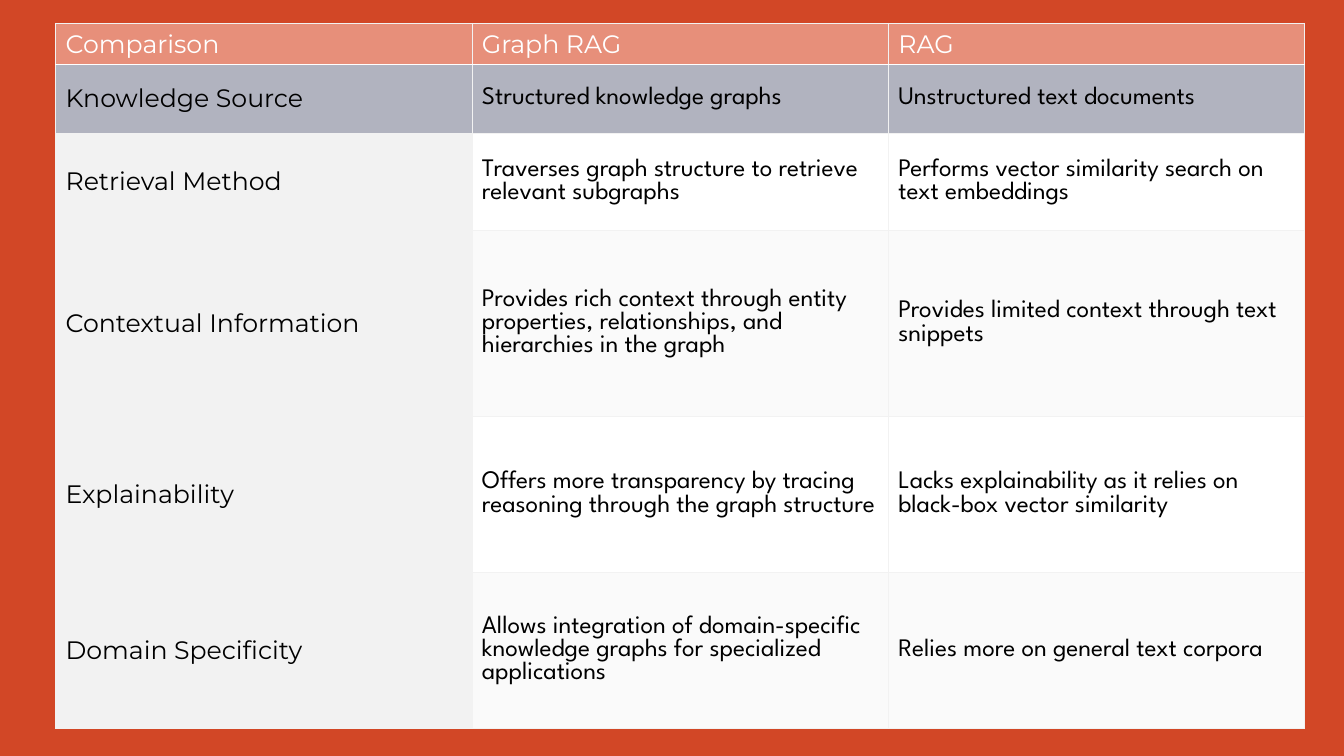
from lxml.etree import SubElement
from pptx import Presentation
from pptx.dml.color import RGBColor
from pptx.enum.text import MSO_ANCHOR
from pptx.oxml.ns import qn
from pptx.util import Inches, Pt

BACKGROUND = RGBColor(0xD2, 0x47, 0x26)
HEADER = RGBColor(0xE7, 0x8F, 0x7A)
HIGHLIGHT = RGBColor(0xB1, 0xB3, 0xBF)
LIGHT = RGBColor(0xF2, 0xF2, 0xF2)
BAND = RGBColor(0xFA, 0xFA, 0xFA)
WHITE = RGBColor(0xFF, 0xFF, 0xFF)
BLACK = RGBColor(0x00, 0x00, 0x00)

LABEL_FONT, BODY_FONT = "Montserrat", "League Spartan"
SLIDE_W, SLIDE_H = 13.33, 7.5
LEFT, TOP, COLUMN_W = 0.55, 0.23, 4.13
ROW_HEIGHTS = [0.41, 0.68, 0.97, 1.84, 1.55, 1.55]

COMPARISON = [
    ("Comparison", "Graph RAG", "RAG"),
    ("Knowledge Source", "Structured knowledge graphs",
     "Unstructured text documents"),
    ("Retrieval Method",
     "Traverses graph structure to retrieve relevant subgraphs",
     "Performs vector similarity search on text embeddings"),
    ("Contextual Information",
     "Provides rich context through entity properties, relationships, "
     "and hierarchies in the graph",
     "Provides limited context through text snippets"),
    ("Explainability",
     "Offers more transparency by tracing reasoning through the graph structure",
     "Lacks explainability as it relies on black-box vector similarity"),
    ("Domain Specificity",
     "Allows integration of domain-specific knowledge graphs for "
     "specialized applications",
     "Relies more on general text corpora"),
]


def cell_fill(row, col):
    if row == 0:
        return HEADER
    if row == 1:
        return HIGHLIGHT
    if col == 0:
        return LIGHT
    return BAND if row % 2 else WHITE


def add_border(cell, side, color, width):
    ln = SubElement(cell._tc.get_or_add_tcPr(), qn(f"a:ln{side}"), w=str(Pt(width)))
    fill = SubElement(ln, qn("a:solidFill"))
    SubElement(fill, qn("a:srgbClr"), val=str(color))


def style_cell(cell, row, col):
    # Borders come before the fill; a white rule closes the header
    for side in "LRTB":
        under_header = (row, side) in ((0, "B"), (1, "T"))
        add_border(cell, side, *((WHITE, 1) if under_header else (LIGHT, 0.5)))
    cell.fill.solid()
    cell.fill.fore_color.rgb = cell_fill(row, col)
    cell.vertical_anchor = MSO_ANCHOR.BOTTOM if row == 0 else MSO_ANCHOR.MIDDLE


def write_cell(cell, text, row, col):
    r = cell.text_frame.paragraphs[0].add_run()
    r.text = text
    r.font.name = LABEL_FONT if row == 0 or col == 0 else BODY_FONT
    r.font.size = Pt(18)
    r.font.bold = False
    r.font.color.rgb = WHITE if row == 0 else BLACK


def add_comparison_table(s, rows):
    columns = len(rows[0])
    table = s.shapes.add_table(
        len(rows), columns, Inches(LEFT), Inches(TOP),
        Inches(COLUMN_W * columns), Inches(sum(ROW_HEIGHTS))).table
    table.horz_banding = False
    for column in table.columns:
        column.width = Inches(COLUMN_W)
    for row, texts in enumerate(rows):
        table.rows[row].height = Inches(ROW_HEIGHTS[row])
        for col, text in enumerate(texts):
            cell = table.cell(row, col)
            style_cell(cell, row, col)
            write_cell(cell, text, row, col)


def main():
    prs = Presentation()
    prs.slide_width, prs.slide_height = Inches(SLIDE_W), Inches(SLIDE_H)
    s = prs.slides.add_slide(prs.slide_layouts[6])
    # Background
    s.background.fill.solid()
    s.background.fill.fore_color.rgb = BACKGROUND
    # Comparison table
    add_comparison_table(s, COMPARISON)
    prs.save("out.pptx")


if __name__ == "__main__":
    main()
